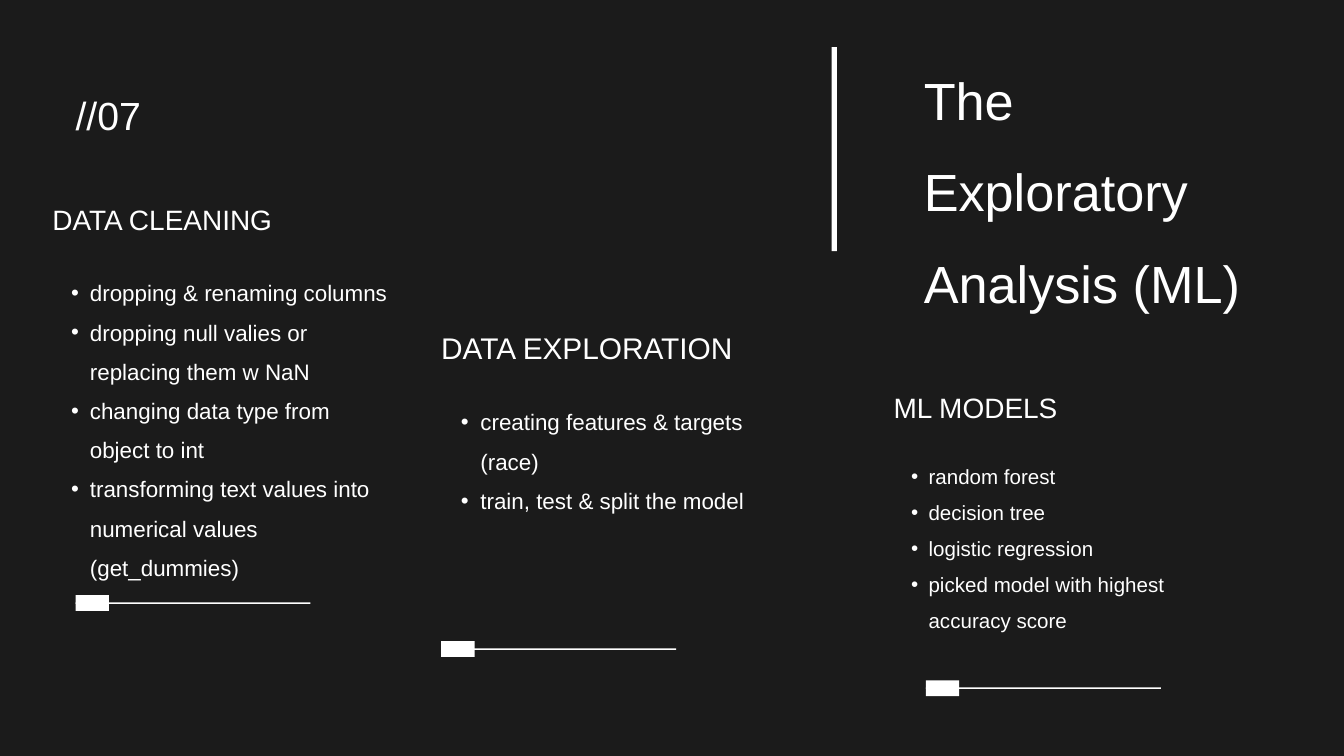
from pptx import Presentation
from pptx.dml.color import RGBColor
from pptx.enum.shapes import MSO_SHAPE
from pptx.enum.text import MSO_AUTO_SIZE
from pptx.oxml.ns import qn
from pptx.util import Cm, Pt
from lxml.etree import SubElement

BACKGROUND = RGBColor(0x1B, 0x1B, 0x1B)
WHITE = RGBColor(0xFF, 0xFF, 0xFF)
FONT = "Arial"
LINE_SPACING = 1.46

# Lengths in cm: text, (left, top, width, height), size in points
LABELS = [
    ("//07", (1.43, 1.32, 4.75, 0.99), 21),
    ("The Exploratory Analysis (ML)", (17.46, 0.74, 6.25, 4.06), 28),
]
DIVIDER = (15.72, 0.89, 0.1, 3.86)

SECTIONS = [
    {
        "heading": "DATA CLEANING", "heading_size": 15, "heading_height": 0.71,
        "left": 0.99, "top": 3.53, "width": 6.48,
        "items": [
            "dropping & renaming columns",
            "dropping null valies or replacing them w NaN",
            "changing data type from object to int",
            "transforming text values into numerical values (get_dummies)",
        ],
        "list_top": 5.05, "list_height": 5.0, "size": 12, "hanging": 0.355,
        "marker": (1.43, 11.25),
    },
    {
        "heading": "DATA EXPLORATION", "heading_size": 16, "heading_height": 0.74,
        "left": 8.34, "top": 5.92, "width": 6.73,
        "items": [
            "creating features & targets (race)",
            "train, test & split the model",
        ],
        "list_top": 7.49, "list_height": 1.7, "size": 12, "hanging": 0.37,
        "marker": (8.34, 12.12),
    },
    {
        "heading": "ML MODELS", "heading_size": 15, "heading_height": 0.69,
        "left": 16.89, "top": 7.09, "width": 6.3,
        "items": [
            "random forest",
            "decision tree",
            "logistic regression",
            "picked model with highest accuracy score",
        ],
        "list_top": 8.56, "list_height": 2.67, "size": 11, "hanging": 0.33,
        "marker": (17.5, 12.86),
    },
]


def add_bar(page, left, top, width, height):
    bar = page.shapes.add_shape(
        MSO_SHAPE.RECTANGLE, Cm(left), Cm(top), Cm(width), Cm(height))
    bar.shadow.inherit = False
    bar.fill.solid()
    bar.fill.fore_color.rgb = WHITE
    bar.line.fill.background()


def add_marker(page, left, top):
    """Draw a thin rule with a small block at its left end."""
    rule, block = 0.03, 0.3
    add_bar(page, left, top + (block - rule) / 2, 4.44, rule)
    add_bar(page, left, top, 0.63, block)


def add_bullet(para, hanging):
    properties = para._p.get_or_add_pPr()
    properties.set("marL", str(Cm(2 * hanging)))
    properties.set("indent", str(-Cm(hanging)))
    SubElement(properties, qn("a:buFont")).set("typeface", FONT)
    SubElement(properties, qn("a:buChar")).set("char", "•")


def add_text(page, lines, place, size, hanging=None):
    box = page.shapes.add_textbox(*(Cm(length) for length in place))
    frame = box.text_frame
    frame.word_wrap = True
    frame.auto_size = MSO_AUTO_SIZE.SHAPE_TO_FIT_TEXT
    frame.margin_left = frame.margin_right = 0
    frame.margin_top = frame.margin_bottom = 0
    for number, line in enumerate(lines):
        para = frame.add_paragraph() if number else frame.paragraphs[0]
        para.text = line
        para.line_spacing = LINE_SPACING
        if hanging:
            add_bullet(para, hanging)
        para.font.name = FONT
        para.font.size = Pt(size)
        para.font.color.rgb = WHITE


def main():
    deck = Presentation()
    deck.slide_width, deck.slide_height = Cm(25.4), Cm(14.29)
    page = deck.slides.add_slide(deck.slide_layouts[6])
    page.background.fill.solid()
    page.background.fill.fore_color.rgb = BACKGROUND

    add_bar(page, *DIVIDER)
    for text, place, size in LABELS:
        add_text(page, [text], place, size)
    for section in SECTIONS:
        left, width = section["left"], section["width"]
        add_marker(page, *section["marker"])
        add_text(page, [section["heading"]],
                 (left, section["top"], width, section["heading_height"]),
                 section["heading_size"])
        add_text(page, section["items"],
                 (left, section["list_top"], width, section["list_height"]),
                 section["size"], section["hanging"])
    deck.save("out.pptx")


if __name__ == "__main__":
    main()
